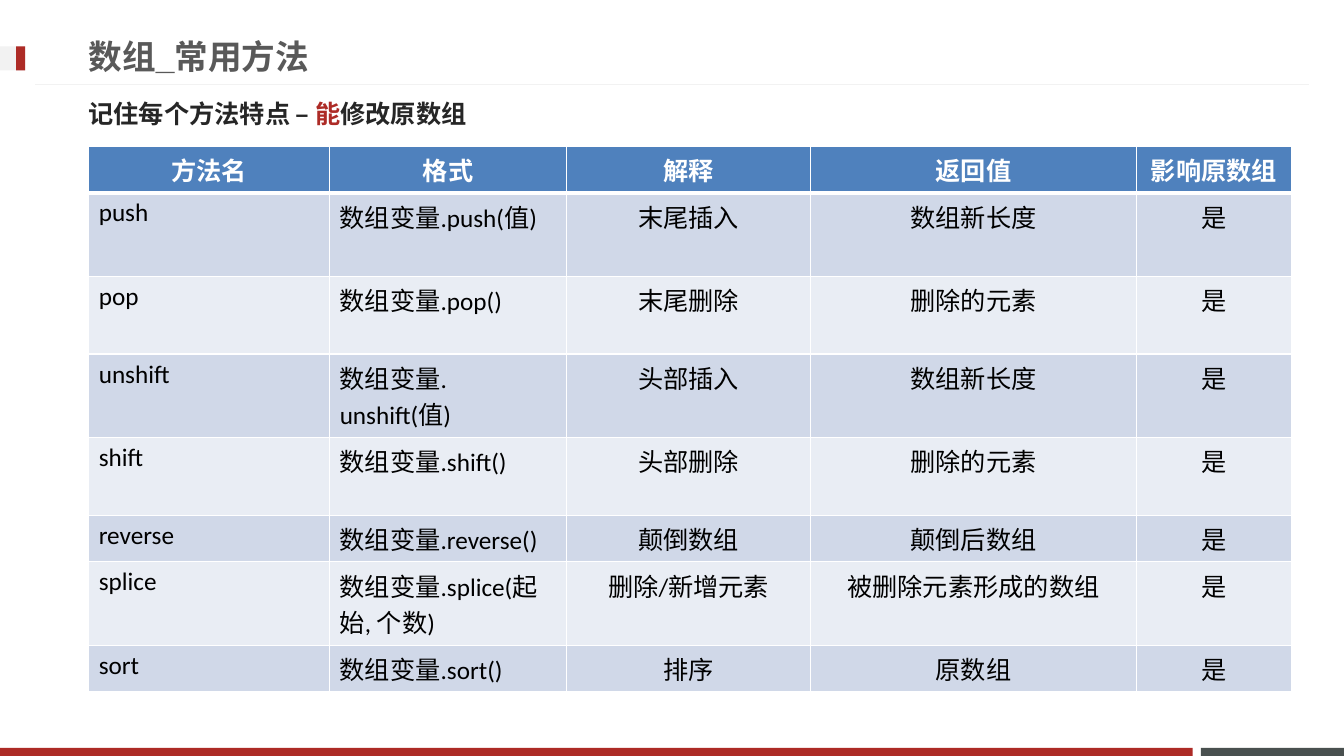
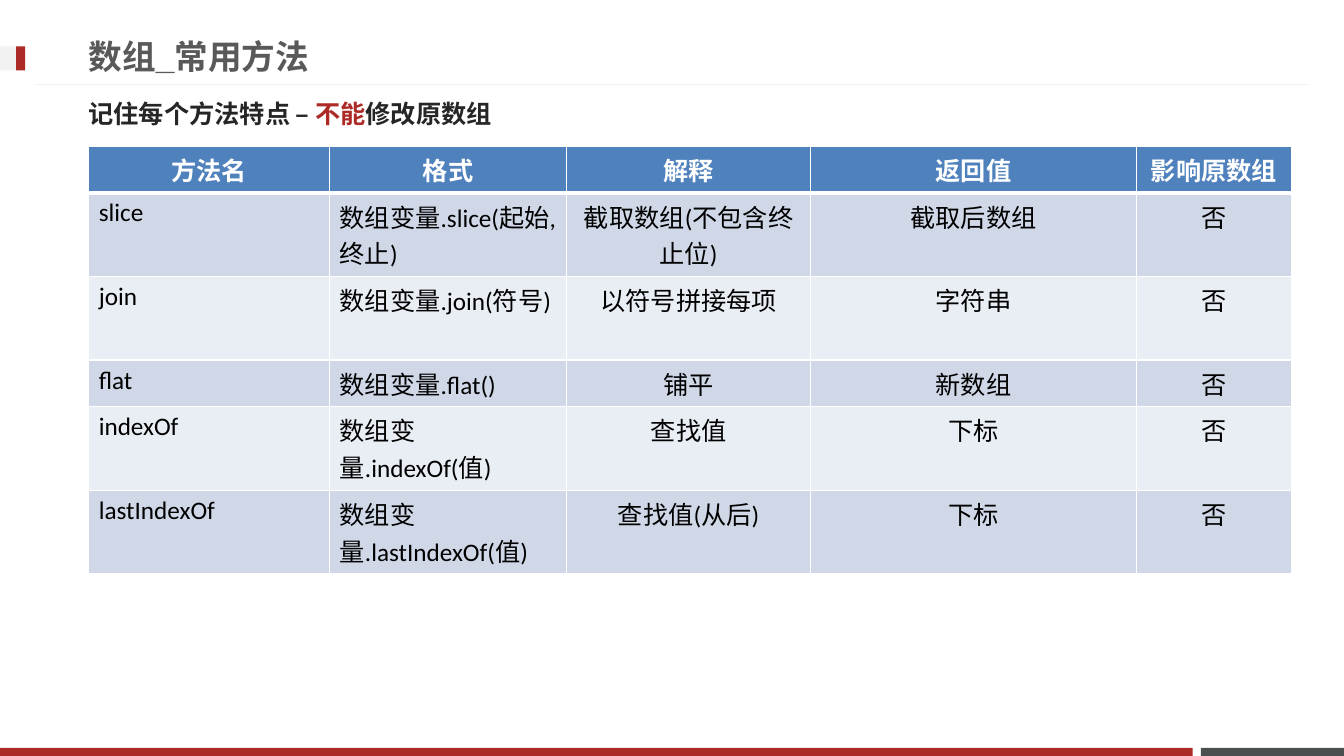
from dataclasses import dataclass

from lxml import etree
from pptx import Presentation
from pptx import util as u
from pptx.dml.color import RGBColor
from pptx.enum import shapes, text
from pptx.oxml import ns

Inches, Pt = u.Inches, u.Pt


@dataclass(frozen=True)
class Theme:
    red: str = "AD2B26"
    slate: str = "49504F"
    pale: str = "F2F2F2"
    title: str = "595959"
    body: str = "262626"
    black: str = "000000"
    white: str = "FFFFFF"
    header: str = "4F81BD"
    bands: tuple = ("D0D8E8", "E9EDF4")
    title_font: str = "Arial"
    table_font: str = "Calibri"
    asian_font: str = "Noto Sans CJK JP"
    title_size: int = 24
    body_size: int = 18


THEME = Theme()

# Table geometry and content
COLUMN_WIDTHS = (2.39, 2.35, 2.42, 3.23, 1.54)
ONE_LINE, TALL, TWO_LINES = 0.46, 0.77, 0.83
HEADINGS = ("方法名", "格式", "解释", "返回值", "影响原数组")

# Each method: row height, name, arguments, explanation, return value
MUTATING = (
    (TWO_LINES, "push", "值", "末尾插入", "数组新长度"),
    (TALL, "pop", "", "末尾删除", "删除的元素"),
    (TWO_LINES, "unshift", "值", "头部插入", "数组新长度"),
    (TALL, "shift", "", "头部删除", "删除的元素"),
    (ONE_LINE, "reverse", "", "颠倒数组", "颠倒后数组"),
    (TWO_LINES, "splice", "起始, 个数", "删除/新增元素", "被删除元素形成的数组"),
    (ONE_LINE, "sort", "", "排序", "原数组"),
)
NON_MUTATING = (
    (TWO_LINES, "slice", "起始, 终止", "截取数组(不包含终止位)", "截取后数组"),
    (TWO_LINES, "join", "符号", "以符号拼接每项", "字符串"),
    (ONE_LINE, "flat", "", "铺平", "新数组"),
    (TWO_LINES, "indexOf", "值", "查找值", "下标"),
    (TWO_LINES, "lastIndexOf", "值", "查找值(从后)", "下标"),
)


def rgb(value):
    return RGBColor.from_string(value)


def format_paragraph(paragraph, font_name, size, color, bold, align=text.PP_ALIGN.LEFT):
    paragraph.alignment = align
    font = paragraph.font
    font.name, font.size, font.bold = font_name, Pt(size), bold
    font.color.rgb = rgb(color)
    properties = paragraph._p.pPr.find(ns.qn("a:defRPr"))
    etree.SubElement(properties, ns.qn("a:ea"), typeface=THEME.asian_font)


def add_block(slide, left, top, width, height, color):
    shape = slide.shapes.add_shape(
        shapes.MSO_SHAPE.RECTANGLE, Inches(left), Inches(top), Inches(width), Inches(height))
    shape.shadow.inherit = False
    shape.fill.solid()
    shape.fill.fore_color.rgb = rgb(color)
    shape.line.fill.background()


def add_frame(slide):
    # Footer bands
    add_block(slide, 11.91, 7.42, 1.42, 0.08, THEME.slate)
    add_block(slide, 0, 7.42, 11.83, 0.08, THEME.red)
    # Rule below the title
    rule = slide.shapes.add_connector(
        shapes.MSO_CONNECTOR.STRAIGHT, Inches(12.98), Inches(0.84), Inches(0.35), Inches(0.84))
    rule.line.color.rgb = rgb(THEME.pale)
    rule.line.width = Pt(0.75)
    etree.SubElement(rule._element.spPr, ns.qn("a:effectLst"))
    # Marker beside the title
    add_block(slide, 0, 0.46, 0.25, 0.24, THEME.pale)
    add_block(slide, 0.16, 0.46, 0.09, 0.24, THEME.red)


def set_frame(shape, left, top, width, height):
    shape.left, shape.top = Inches(left), Inches(top)
    shape.width, shape.height = Inches(width), Inches(height)
    frame = shape.text_frame
    frame.word_wrap = True
    frame.auto_size = text.MSO_AUTO_SIZE.NONE
    frame.vertical_anchor = text.MSO_ANCHOR.MIDDLE
    return frame.paragraphs[0]


def add_title(slide, wording):
    paragraph = set_frame(slide.shapes.title, 0.78, 0.27, 9.59, 0.57)
    paragraph.text = wording
    format_paragraph(paragraph, THEME.title_font, THEME.title_size, THEME.title, True)


def add_subtitle(slide, emphasis):
    box = slide.shapes.add_textbox(0, 0, 0, 0)
    paragraph = set_frame(box, 0.78, 0.84, 11.72, 0.57)
    format_paragraph(paragraph, THEME.asian_font, THEME.body_size, THEME.body, True)
    for wording in ("记住每个方法特点 – ", emphasis, "修改原数组"):
        run = paragraph.add_run()
        run.text = wording
        if wording == emphasis:
            run.font.color.rgb = rgb(THEME.red)


def set_borders(cell, bottom_width):
    properties = cell._tc.get_or_add_tcPr()
    sides = (("L", 1), ("R", 1), ("T", 1), ("B", bottom_width))
    for index, (side, width) in enumerate(sides):
        border = etree.Element(ns.qn(f"a:ln{side}"), w=str(Pt(width)))
        fill = etree.SubElement(border, ns.qn("a:solidFill"))
        etree.SubElement(fill, ns.qn("a:srgbClr"), val=THEME.white)
        properties.insert(index, border)


def format_cell(cell, wording, is_header, fill, centred):
    cell.text = wording
    cell.fill.solid()
    cell.fill.fore_color.rgb = rgb(fill)
    set_borders(cell, 3 if is_header else 1)
    format_paragraph(
        cell.text_frame.paragraphs[0], THEME.table_font, THEME.body_size,
        THEME.white if is_header else THEME.black, is_header,
        text.PP_ALIGN.CENTER if centred else text.PP_ALIGN.LEFT)


def add_method_table(slide, methods, changes_array):
    rows = [HEADINGS] + [
        (name, f"数组变量.{name}({arguments})", explanation, result, changes_array)
        for _, name, arguments, explanation, result in methods]
    heights = [ONE_LINE] + [method[0] for method in methods]
    table = slide.shapes.add_table(
        len(rows), len(HEADINGS), Inches(0.88), Inches(1.45),
        Inches(sum(COLUMN_WIDTHS)), Inches(sum(heights))).table
    table.horz_banding = False
    for column, width in zip(table.columns, COLUMN_WIDTHS):
        column.width = Inches(width)
    for row_index, (values, height) in enumerate(zip(rows, heights)):
        table.rows[row_index].height = Inches(height)
        is_header = row_index == 0
        fill = THEME.header if is_header else THEME.bands[(row_index - 1) % 2]
        for column_index, wording in enumerate(values):
            format_cell(table.cell(row_index, column_index), wording, is_header, fill,
                        is_header or column_index >= 2)


def add_method_slide(presentation, emphasis, methods, changes_array):
    slide = presentation.slides.add_slide(presentation.slide_layouts[5])
    add_frame(slide)
    add_title(slide, "数组_常用方法")
    add_subtitle(slide, emphasis)
    add_method_table(slide, methods, changes_array)


def main():
    presentation = Presentation()
    presentation.slide_width, presentation.slide_height = Inches(13.33), Inches(7.5)
    add_method_slide(presentation, "能", MUTATING, "是")
    add_method_slide(presentation, "不能", NON_MUTATING, "否")
    presentation.save("out.pptx")


if __name__ == "__main__":
    main()
